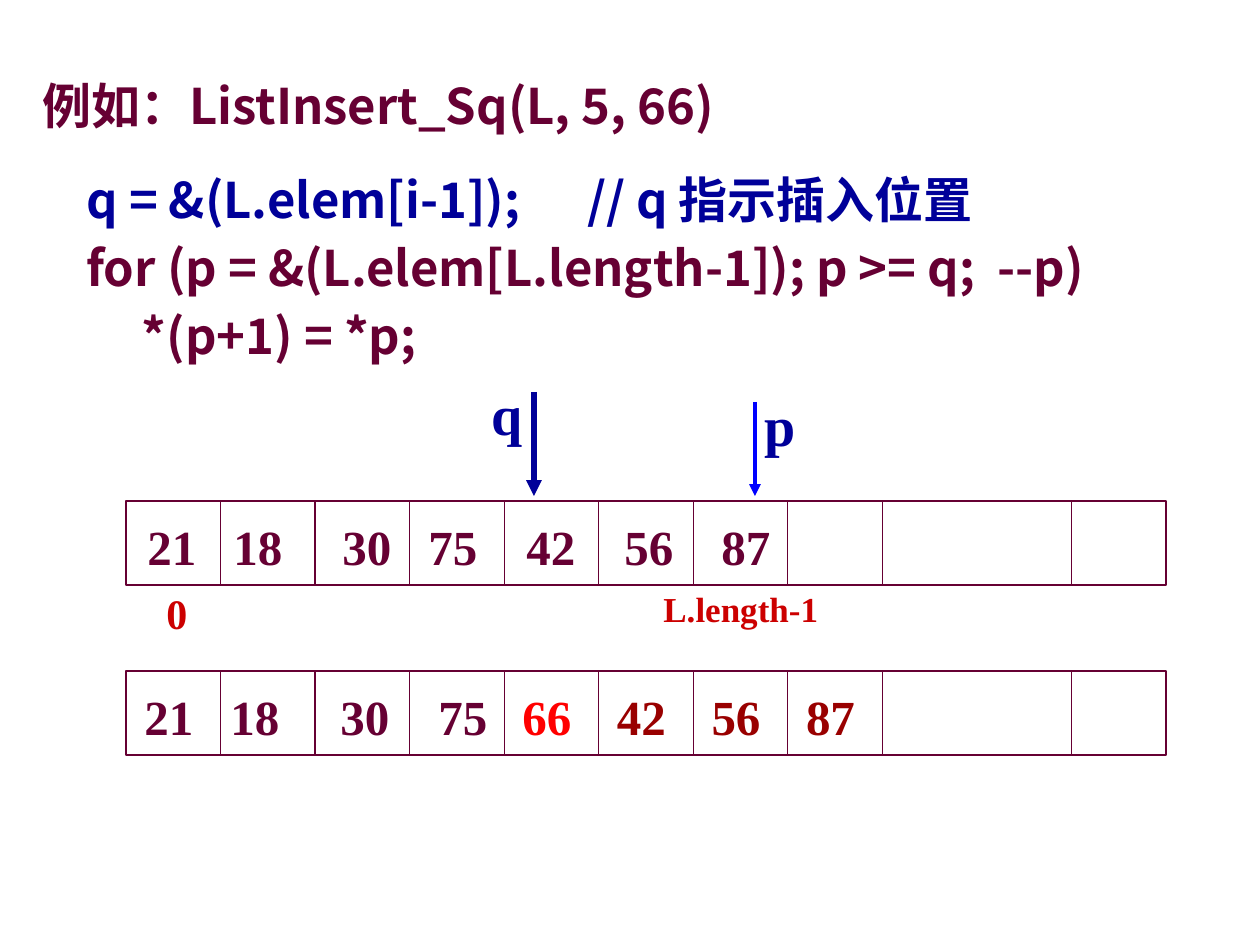
from lxml import etree
from pptx import Presentation
from pptx import util as u
from pptx.dml.color import RGBColor
from pptx.enum import shapes
from pptx.oxml.ns import qn

PX = 914400 // 126
SANS, SERIF = "Noto Sans CJK SC", "Times New Roman"
COLORS = {"plum": "660033", "navy": "000099", "blue": "0000FF",
          "red": "FF0000", "label": "CC0000", "moved": "990000"}

# left, top, width, height, size, font, lines of (text, color), tab stops
TEXTS = [
    (30, 69, 891, 72, 28, SANS, [("例如：ListInsert_Sq(L, 5, 66)", "plum")], []),
    (74, 155, 1152, 352, 28, SANS, [
        ("q = &(L.elem[i-1]);\t// q 指示插入位置", "navy"),
        ("for (p = &(L.elem[L.length-1]); p >= q;  --p)", "plum"),
        ("     *(p+1) = *p;", "plum")], [501]),
    (135, 510, 656, 72, 28, SERIF, [("21\t18\t30\t75\t42\t56\t87", "plum")],
     [86, 195, 281, 379, 477, 574]),
    (132, 680, 375, 72, 28, SERIF, [("21\t18\t30\t75", "plum")], [86, 196, 294]),
    (651, 581, 186, 55, 20, SERIF, [("L.length-1", "label")], []),
    (154, 581, 50, 63, 24, SERIF, [("0", "label")], []),
    (752, 384, 62, 81, 32, SERIF, [("p", "navy")], []),
    (479, 373, 62, 81, 32, SERIF, [("q", "navy")], []),
]
CHANGED = [("66", "red"), ("42", "moved"), ("56", "moved"), ("87", "moved")]
# x, top, bottom, color, weight
POINTERS = [(534, 392, 496, "navy", 3), (755, 402, 496, "blue", 2.25)]

ROW_LEFT, ROW_WIDTH, ROW_HEIGHT = 126, 1040, 84
ROW_TOPS = [501, 671]
CELL = ROW_WIDTH / 11
DIVIDERS = [1, 2, 3, 4, 5, 6, 7, 8, 10]


def px(*values):
    return [u.Emu(round(value * PX)) for value in values]


def color(name):
    return RGBColor.from_string(COLORS[name])


def add_text(slide, left, top, width, height, size, font, lines, tabs):
    box = slide.shapes.add_textbox(*px(left, top, width, height))
    frame = box.text_frame
    frame.word_wrap = True
    frame.text = "\n".join(text for text, _ in lines)
    for para, (_, name) in zip(frame.paragraphs, lines):
        if tabs:
            stops = etree.SubElement(para._p.get_or_add_pPr(), qn("a:tabLst"))
            for stop in tabs:
                etree.SubElement(stops, qn("a:tab"), pos=str(stop * PX), algn="l")
        if len(lines) > 1:
            para.line_spacing = 1.15
        for span in para.runs:
            span.font.size = u.Pt(size)
            span.font.bold = True
            span.font.color.rgb = color(name)
            span.font.name = font
            etree.SubElement(span._r.get_or_add_rPr(), qn("a:ea"), typeface=font)


def add_line(slide, x, top, bottom, name, weight, arrow=False):
    line = slide.shapes.add_connector(shapes.MSO_CONNECTOR.STRAIGHT,
                                      *px(x, top, x, bottom))
    line.line.color.rgb = color(name)
    line.line.width = u.Pt(weight)
    if arrow:
        etree.SubElement(line.line._get_or_add_ln(), qn("a:tailEnd"), type="triangle")
    etree.SubElement(line._element.spPr, qn("a:effectLst"))


def add_row(slide, top):
    """Draw the outline of one list and its cell dividers."""
    frame = slide.shapes.add_shape(shapes.MSO_SHAPE.RECTANGLE,
                                   *px(ROW_LEFT, top, ROW_WIDTH, ROW_HEIGHT))
    frame.shadow.inherit = False
    frame.fill.background()
    frame.line.color.rgb = color("plum")
    frame.line.width = u.Pt(0.75)
    for index in DIVIDERS:
        add_line(slide, ROW_LEFT + index * CELL, top, top + ROW_HEIGHT, "plum", 0.75)


def main():
    deck = Presentation()
    deck.slide_width, deck.slide_height = u.Inches(10), u.Inches(7.5)
    slide = deck.slides.add_slide(deck.slide_layouts[6])
    for top in ROW_TOPS:
        add_row(slide, top)
    for item in TEXTS:
        add_text(slide, *item)
    for index, entry in enumerate(CHANGED):
        add_text(slide, 510 + index * CELL, 680, 80, 72, 28, SERIF, [entry], [])
    for pointer in POINTERS:
        add_line(slide, *pointer, arrow=True)
    deck.save("out.pptx")


if __name__ == "__main__":
    main()
